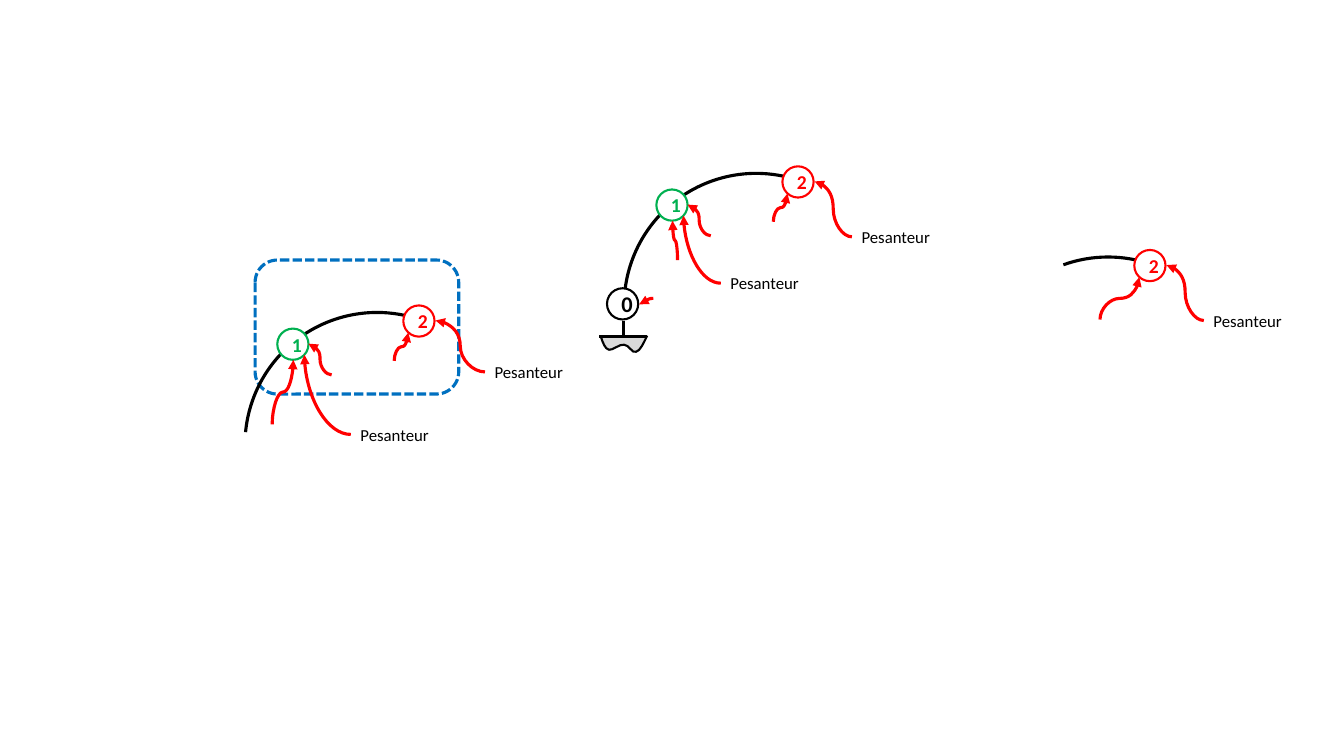
from dataclasses import dataclass
from typing import Optional

from lxml import etree
from pptx import Presentation
from pptx import util as u
from pptx.dml import color as dml
from pptx.enum import dml as lines, shapes, text
from pptx.oxml import ns

BLACK = dml.RGBColor(0x00, 0x00, 0x00)
WHITE = dml.RGBColor(0xFF, 0xFF, 0xFF)
RED = dml.RGBColor(0xFF, 0x00, 0x00)
GREEN = dml.RGBColor(0x00, 0xB0, 0x50)
BLUE = dml.RGBColor(0x00, 0x70, 0xC0)
GREY = dml.RGBColor(0xD9, 0xD9, 0xD9)
FONT = "Calibri"
ARC_SIZE = 2.62
JOINT_SIZE = 0.31
LABEL_WIDTH, LABEL_HEIGHT = 0.87, 0.2
THICK, THIN = 2.25, 1.5

Point = tuple[float, float]


@dataclass
class Joint:
    digit: str
    offset: Point
    color: dml.RGBColor
    size: int = 14


@dataclass
class Action:
    start: Point
    end: Point
    route: str = "horizontal"
    label: str = ""


@dataclass
class Diagram:
    origin: Point
    arc_start: float
    joints: list[Joint]
    actions: list[Action]
    ground: bool = False
    frame: Optional[tuple[float, float, float, float]] = None


BASE = Joint("0", (-0.17, 1.14), BLACK, 16)
ELBOW = Joint("1", (0.32, 0.16), GREEN)
HAND = Joint("2", (1.57, -0.07), RED)

HAND_RIGHT, HAND_BELOW = (1.89, 0.08), (1.62, 0.2)
ELBOW_RIGHT, ELBOW_CORNER, ELBOW_BELOW = (0.63, 0.31), (0.59, 0.42), (0.48, 0.47)


def hand_weight(start: Point) -> Action:
    return Action(start, HAND_RIGHT, label="Pesanteur")


def elbow_weight(start: Point) -> Action:
    return Action(start, ELBOW_CORNER, "corner", "Pesanteur")


ELBOW_ACTION = Action((0.86, 0.62), ELBOW_RIGHT)
HAND_ACTION = Action((1.48, 0.48), HAND_BELOW, "vertical")

DIAGRAMS = [
    Diagram((6.19, 1.72), 185.38, [ELBOW, HAND, BASE],
            [hand_weight((2.26, 0.63)), ELBOW_ACTION, HAND_ACTION,
             elbow_weight((0.96, 1.09)),
             Action((0.53, 0.86), ELBOW_BELOW, "vertical"),
             Action((0.29, 1.24), (0.15, 1.3))],
            ground=True),
    Diagram((9.68, 2.55), 250.24, [HAND],
            [hand_weight((2.26, 0.63)),
             Action((1.23, 0.62), HAND_BELOW, "vertical")]),
    Diagram((2.43, 3.1), 185.38, [ELBOW, HAND],
            [hand_weight((2.38, 0.59)), ELBOW_ACTION, HAND_ACTION,
             elbow_weight((1.05, 1.21)),
             Action((0.27, 1.11), ELBOW_BELOW, "vertical")],
            frame=(2.53, 2.58, 2.02, 1.33)),
]
ARC_END = 289.03


def write(frame, words: str, *, size: int, color: dml.RGBColor, bold: bool = False) -> None:
    paragraph = frame.paragraphs[0]
    paragraph.alignment = text.PP_ALIGN.CENTER
    run = paragraph.add_run()
    run.text = words
    run.font.name = FONT
    run.font.size = u.Pt(size)
    run.font.bold = bold
    run.font.color.rgb = color


def paint(part, outline: dml.RGBColor, width: float, fill: Optional[dml.RGBColor] = None) -> None:
    part.shadow.inherit = False
    part.line.color.rgb = outline
    part.line.width = u.Pt(width)
    if fill is None:
        part.fill.background()
    else:
        part.fill.solid()
        part.fill.fore_color.rgb = fill


def add_preset(parent, preset, left: float, top: float, width: float, height: float):
    return parent.add_shape(preset, u.Inches(left), u.Inches(top), u.Inches(width), u.Inches(height))


def add_link(parent, kind, start: Point, end: Point, color: dml.RGBColor):
    link = parent.add_connector(kind, *(u.Inches(value) for value in (*start, *end)))
    link.line.color.rgb = color
    link.line.width = u.Pt(THICK)
    etree.SubElement(link._element.spPr, ns.qn("a:effectLst"))
    return link


def add_curved_arrow(parent, start: Point, end: Point, route: str) -> None:
    first, last = start, end
    if route == "vertical":
        middle_x, middle_y = (start[0] + end[0]) / 2, (start[1] + end[1]) / 2
        half_run, half_rise = (end[0] - start[0]) / 2, (start[1] - end[1]) / 2
        first = (middle_x - half_rise, middle_y - half_run)
        last = (middle_x + half_rise, middle_y + half_run)
    arrow = add_link(parent, shapes.MSO_CONNECTOR.CURVE, first, last, RED)
    properties = arrow._element.spPr
    if route == "vertical":
        properties.find(ns.qn("a:xfrm")).set("rot", str(270 * 60000))
    if route == "corner":
        properties.find(ns.qn("a:prstGeom")).set("prst", "curvedConnector2")
    etree.SubElement(properties.find(ns.qn("a:ln")), ns.qn("a:tailEnd"), type="triangle")


def add_ground(parent) -> None:
    group = parent.add_group_shape().shapes
    outline = [(5.96, 3.34), (5.98, 3.4), (6, 3.46), (6.04, 3.47), (6.07, 3.48),
               (6.15, 3.41), (6.19, 3.42), (6.24, 3.42), (6.27, 3.51), (6.31, 3.49),
               (6.35, 3.48), (6.38, 3.41), (6.42, 3.33)]
    points = [(u.Inches(x), u.Inches(y)) for x, y in outline]
    builder = group.build_freeform(*points[0])
    builder.add_line_segments(points[1:], close=False)
    soil = builder.convert_to_shape()
    paint(soil, BLACK, THIN, GREY)
    contour = next(soil._element.iter(ns.qn("a:path")))
    segments = contour.findall(ns.qn("a:lnTo"))
    for index in range(0, len(segments), 3):
        curve = etree.SubElement(contour, ns.qn("a:cubicBezTo"))
        for segment in segments[index:index + 3]:
            curve.append(segment[0])
            contour.remove(segment)
    for start, end in (((6.18, 3.18), (6.18, 3.33)), ((6.42, 3.34), (5.94, 3.34))):
        add_link(group, shapes.MSO_CONNECTOR.STRAIGHT, start, end, BLACK)


def add_joint(parent, joint: Joint, left: float, top: float) -> None:
    circle = add_preset(parent, shapes.MSO_SHAPE.OVAL, left, top, JOINT_SIZE, JOINT_SIZE)
    paint(circle, joint.color, THIN, WHITE)
    circle.text_frame.vertical_anchor = text.MSO_ANCHOR.MIDDLE
    write(circle.text_frame, joint.digit, size=joint.size, color=joint.color, bold=True)


def add_label(parent, words: str, left: float, middle: float) -> None:
    label = parent.add_textbox(u.Inches(left), u.Inches(middle - LABEL_HEIGHT / 2),
                               u.Inches(LABEL_WIDTH), u.Inches(LABEL_HEIGHT)).text_frame
    label.margin_left = label.margin_right = label.margin_top = label.margin_bottom = 0
    label.word_wrap = True
    label.auto_size = text.MSO_AUTO_SIZE.SHAPE_TO_FIT_TEXT
    write(label, words, size=12, color=BLACK)


def draw_diagram(parent, diagram: Diagram) -> None:
    def place(offset: Point) -> Point:
        return diagram.origin[0] + offset[0], diagram.origin[1] + offset[1]

    if diagram.frame:
        boundary = add_preset(parent, shapes.MSO_SHAPE.ROUNDED_RECTANGLE, *diagram.frame)
        paint(boundary, BLUE, THICK)
        boundary.line.dash_style = lines.MSO_LINE.SQUARE_DOT
    arm = add_preset(parent, shapes.MSO_SHAPE.ARC, *diagram.origin, ARC_SIZE, ARC_SIZE)
    for index, degrees in enumerate((diagram.arc_start, ARC_END)):
        arm.adjustments[index] = degrees * 0.6
    paint(arm, BLACK, THICK)
    if diagram.ground:
        add_ground(parent)
    for joint in diagram.joints:
        add_joint(parent, joint, *place(joint.offset))
    for action in diagram.actions:
        start = place(action.start)
        if action.label:
            add_label(parent, action.label, *start)
        add_curved_arrow(parent, start, place(action.end), action.route)


def main() -> None:
    deck = Presentation()
    deck.slide_width, deck.slide_height = u.Inches(13.33), u.Inches(7.5)
    slide = deck.slides.add_slide(deck.slide_layouts[6])
    for diagram in DIAGRAMS:
        draw_diagram(slide.shapes, diagram)
    deck.save("out.pptx")


if __name__ == "__main__":
    main()
